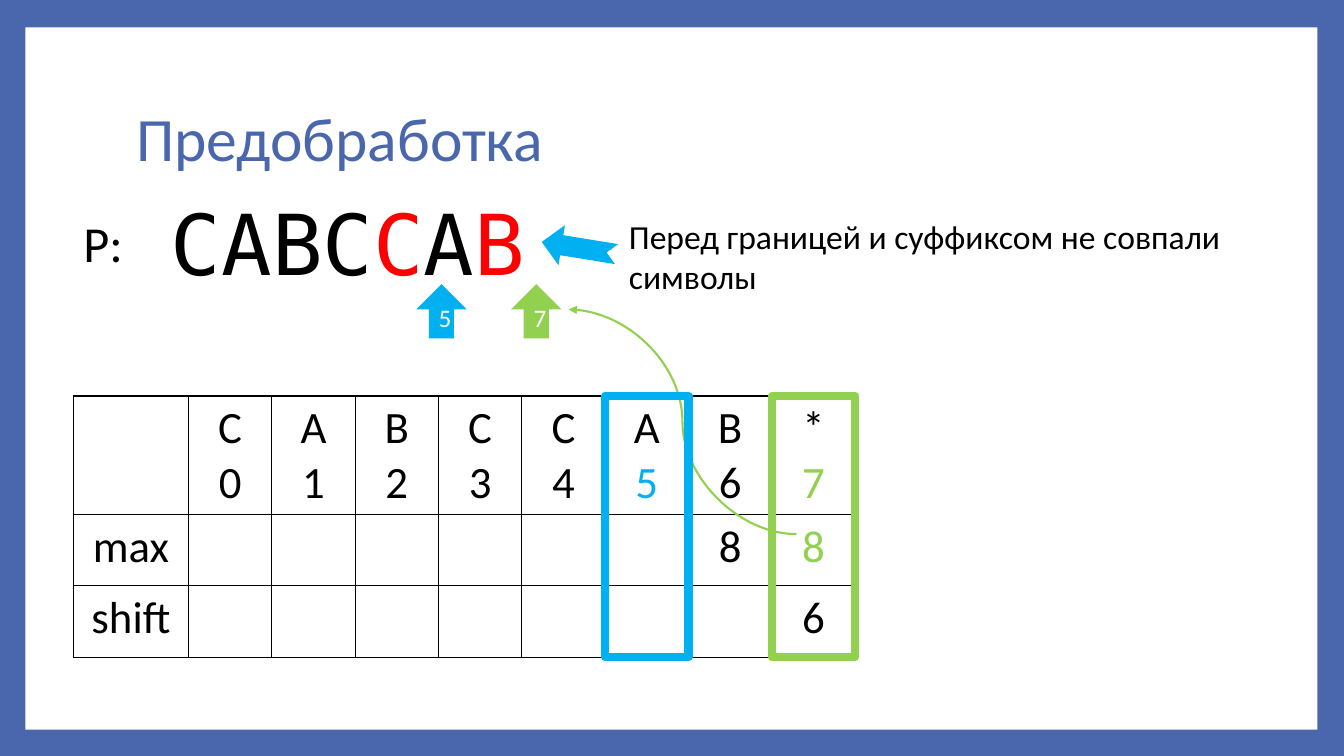
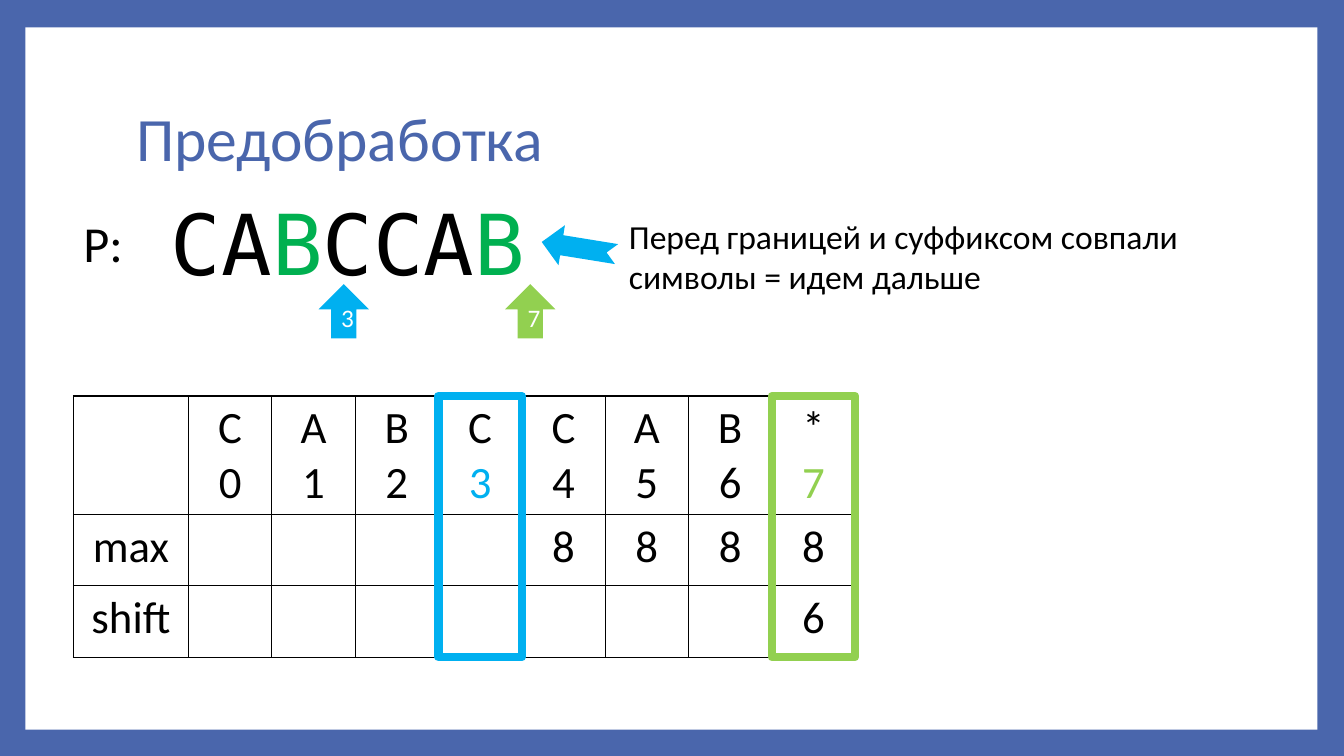
"""Build two slides on preprocessing a search pattern: border and suffix tables."""
from lxml import etree
from pptx import Presentation
from pptx.dml.color import RGBColor
from pptx.enum.shapes import MSO_CONNECTOR, MSO_SHAPE as SHAPE
from pptx.enum.text import MSO_ANCHOR as ANCHOR, PP_ALIGN as ALIGN
from pptx.oxml.ns import qn
from pptx.util import Cm, Pt

INDIGO, WHITE, BLACK = "4A66AC", "FFFFFF", "000000"
BLUE, LIME, RED, GREEN = "00B0F0", "92D050", "FF0000", "00B050"
SANS, MONO = "Calibri", "DejaVu Sans Mono"

TITLE = "Предобработка"
PATTERN = "CABCCAB"
END = len(PATTERN)
SLIDES = [
    {"marked": {4: RED, 6: RED}, "border": 5, "pointers": (10.49, 12.88),
     "note": "Перед границей и суффиксом не совпали символы",
     "max": {6: "8", 7: "8"}, "shift": {7: "6"}, "max_colors": {7: LIME},
     "curve": (20.07, 13.46, 14.33, 7.8)},
    {"marked": {2: GREEN, 6: GREEN}, "border": 3, "pointers": (8.03, 12.73),
     "note": "Перед границей и суффиксом совпали символы = идем дальше",
     "max": {4: "8", 5: "8", 6: "8", 7: "8"}, "shift": {7: "6"}, "max_colors": {},
     "curve": None},
]

PANEL = (0.64, 0.69, 32.56, 17.7)
TITLE_BOX = (3.18, 1.7, 27.43, 3.76)
PATTERN_BOX = (4.06, 4.7, 14.25, 2.82)
LABEL_BOX = (1.85, 5.21, 1.7, 1.8)
NOTE_BOX = (15.6, 5.31, 15.47, 2.31)
NOTE_ARROW = (13.64, 5.74, 1.91, 1.02)
POINTER_TOP, POINTER_W, POINTER_H = 7.16, 1.27, 1.37
TABLE_LEFT, TABLE_TOP, HEAD_W, COL_W = 1.85, 9.98, 2.9, 2.1
ROW_HEIGHTS = (2.98, 1.8, 1.8)


def rgb(code):
    return RGBColor.from_string(code)


def cm(values):
    return [Cm(v) for v in values]


def write(p, runs, size, font=SANS, **fmt):
    for name, value in fmt.items():
        setattr(p, name, value)
    for text, color in runs:
        r = p.add_run()
        r.text = text
        for name, value in {"size": Pt(size), "name": font}.items():
            setattr(r.font, name, value)
        r.font.color.rgb = rgb(color)


def add_text(s, box, runs, size, font=SANS, anchor=ANCHOR.TOP, **fmt):
    tf = s.shapes.add_textbox(*cm(box)).text_frame
    tf.word_wrap = True
    tf.vertical_anchor = anchor
    write(tf.paragraphs[0], runs, size, font, **fmt)


def add_shape(s, kind, box, fill=None, line=None, width=6):
    sp = s.shapes.add_shape(kind, *cm(box))
    sp.shadow.inherit = False
    for target, color in ((sp.fill, fill), (sp.line.fill, line)):
        if color:
            target.solid()
            target.fore_color.rgb = rgb(color)
        else:
            target.background()
    if line:
        sp.line.width = Pt(width)
    return sp


def add_curve(s, ends):
    line = s.shapes.add_connector(MSO_CONNECTOR.CURVE, *cm(ends))
    line.line.color.rgb = rgb(LIME)
    line.line.width = Pt(1.5)
    etree.SubElement(line.line._get_or_add_ln(), qn("a:tailEnd"), type="triangle")
    etree.SubElement(line._element.spPr, qn("a:effectLst"))


def style_cell(cell):
    tc_pr = cell._tc.get_or_add_tcPr()
    for side in ("a:lnL", "a:lnR", "a:lnT", "a:lnB"):
        ln = etree.SubElement(tc_pr, qn(side), w=str(Pt(1)))
        fill = etree.SubElement(ln, qn("a:solidFill"))
        etree.SubElement(fill, qn("a:srgbClr"), val=BLACK)
    cell.fill.background()


def table_rows(data):
    index_colors = {data["border"]: BLUE, END: LIME}
    columns = range(END + 1)
    head = [[(char, BLACK), (str(i), index_colors.get(i, BLACK))]
            for i, char in enumerate(PATTERN + "*")]
    rows = [[[]] + head]
    for name, colors in (("max", data["max_colors"]), ("shift", {})):
        values = data[name]
        rows.append([[(name, BLACK)]] + [
            [(values[i], colors.get(i, BLACK))] if i in values else [] for i in columns])
    return rows


def add_table(s, rows):
    widths = [HEAD_W] + [COL_W] * (END + 1)
    box = (TABLE_LEFT, TABLE_TOP, sum(widths), sum(ROW_HEIGHTS))
    table = s.shapes.add_table(len(rows), len(widths), *cm(box)).table
    table.first_row = table.horz_banding = False
    for column, width in zip(table.columns, widths):
        column.width = Cm(width)
    for row, height in zip(table.rows, ROW_HEIGHTS):
        row.height = Cm(height)
    for i, row in enumerate(rows):
        for j, lines in enumerate(row):
            cell = table.cell(i, j)
            style_cell(cell)
            tf = cell.text_frame
            for k, run in enumerate(lines):
                p = tf.add_paragraph() if k else tf.paragraphs[0]
                write(p, [run], 32, alignment=ALIGN.CENTER)


def add_frame(s, index, color):
    left = TABLE_LEFT + HEAD_W + index * COL_W
    add_shape(s, SHAPE.RECTANGLE, (left, TABLE_TOP, COL_W, sum(ROW_HEIGHTS)), line=color)


def build_slide(prs, data):
    s = prs.slides.add_slide(prs.slide_layouts[6])
    add_shape(s, SHAPE.RECTANGLE, PANEL, WHITE)
    add_text(s, TITLE_BOX, [(TITLE, INDIGO)], 44, anchor=ANCHOR.MIDDLE, line_spacing=0.9)
    letters = [(char, data["marked"].get(i, BLACK)) for i, char in enumerate(PATTERN)]
    add_text(s, PATTERN_BOX, letters, 60, MONO)
    add_text(s, LABEL_BOX, [("P:", BLACK)], 36)
    marks = ((data["border"], BLUE), (END, LIME))
    for left, (index, color) in zip(data["pointers"], marks):
        box = (left, POINTER_TOP, POINTER_W, POINTER_H)
        sp = add_shape(s, SHAPE.UP_ARROW, box, color)
        write(sp.text_frame.paragraphs[0], [(str(index), WHITE)], 18, alignment=ALIGN.CENTER)
    add_table(s, table_rows(data))
    add_text(s, NOTE_BOX, [(data["note"], BLACK)], 24)
    add_shape(s, SHAPE.NOTCHED_RIGHT_ARROW, NOTE_ARROW, BLUE).rotation = 189.2
    if data["curve"]:
        add_curve(s, data["curve"])
    for index, color in marks:
        add_frame(s, index, color)


def main():
    prs = Presentation()
    prs.slide_width, prs.slide_height = cm((33.87, 19.05))
    background = prs.slide_master.background.fill
    background.solid()
    background.fore_color.rgb = rgb(INDIGO)
    for data in SLIDES:
        build_slide(prs, data)
    prs.save("out.pptx")


if __name__ == "__main__":
    main()
